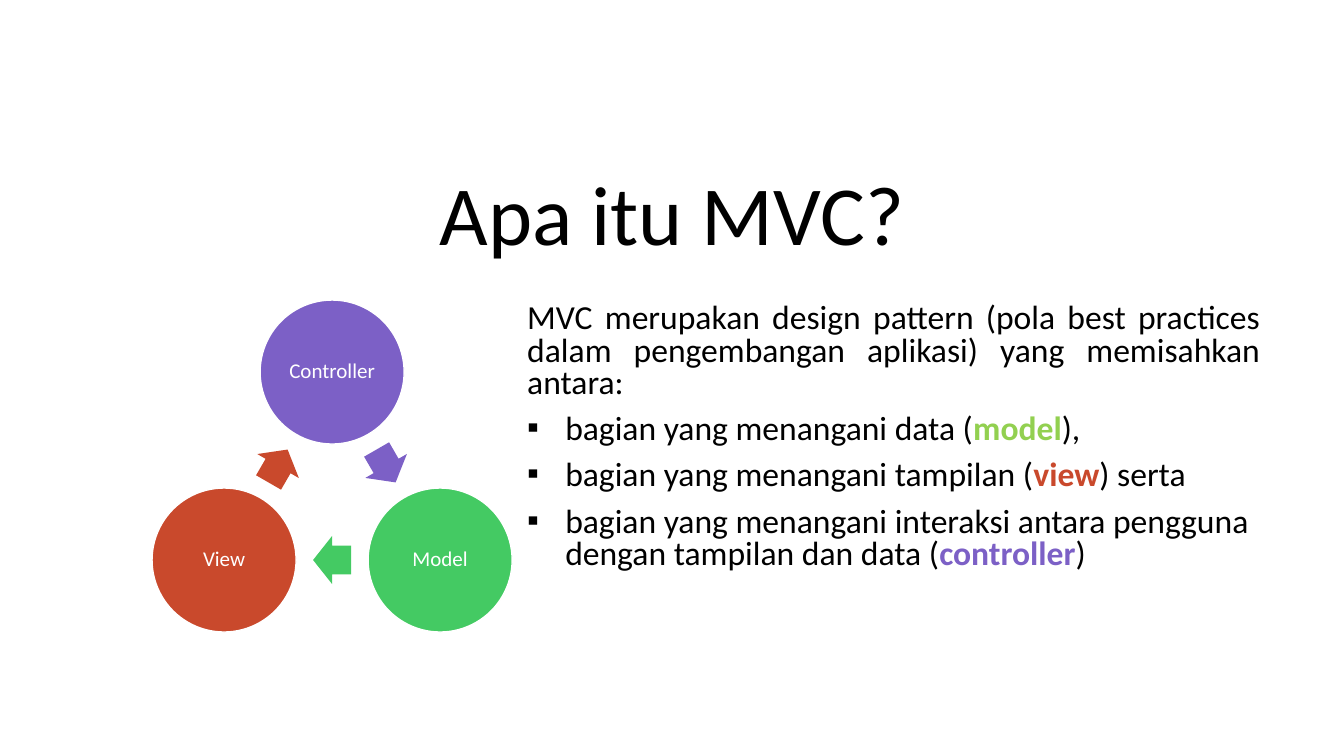
from lxml import etree
from pptx import Presentation, util as u
from pptx.dml.color import RGBColor
from pptx.enum import shapes, text
from pptx.oxml.ns import qn

COLORS = {"black": "000000", "white": "FFFFFF", "purple": "7C60C6",
          "green": "44CA63", "lime": "92D050", "red": "C9492C"}
TITLE = "Apa itu MVC?"
INTRO = ("MVC merupakan design pattern (pola best practices dalam "
         "pengembangan aplikasi) yang memisahkan antara:")
BULLETS = [
    ("bagian yang menangani data (", "model", "lime", "), "),
    ("bagian yang menangani tampilan (", "view", "red", ") serta"),
    ("bagian yang menangani interaksi antara pengguna dengan tampilan dan data (",
     "controller", "purple", ")"),
]
CYCLE = [("Controller", "purple", (332, 372)),
         ("Model", "green", (440, 560)),
         ("View", "red", (224, 560))]
TITLE_BOX = (116, 124, 1112, 145)
BODY_BOX = (517, 299, 753, 319)
DIAMETER = 144
ARROW = (38, 48)
INDENT = 38
SCALE = u.Inches(1) / 100.8


def px(length):
    return u.Emu(round(length * SCALE))


def apply(target, **values):
    for name, value in values.items():
        setattr(target, name, value)


def place(shape, box):
    apply(shape, **dict(zip(("left", "top", "width", "height"), map(px, box))))


def rgb(color):
    return RGBColor.from_string(COLORS[color])


def add_span(para, words, size, color="black", bold=False):
    span = para.add_run()
    span.text = words
    apply(span.font, name="Calibri", size=u.Pt(size), bold=bold)
    span.font.color.rgb = rgb(color)


def add_bullet(para):
    properties = para._p.get_or_add_pPr()
    properties.set("marL", str(px(INDENT)))
    properties.set("indent", str(-px(INDENT)))
    etree.SubElement(properties, qn("a:buFont"), typeface="Arial")
    etree.SubElement(properties, qn("a:buChar"), char="▪")


def add_part(page, kind, center, size, color):
    (x, y), (width, height) = center, size
    shape = page.shapes.add_shape(
        kind, *map(px, (x - width / 2, y - height / 2, width, height)))
    shape.shadow.inherit = False
    shape.fill.solid()
    shape.fill.fore_color.rgb = rgb(color)
    shape.line.fill.background()
    return shape


deck = Presentation()
apply(deck, slide_width=u.Inches(13.33), slide_height=u.Inches(7.5))
page = deck.slides.add_slide(deck.slide_layouts[0])

title, body = page.shapes.title, page.placeholders[1]
for box, area, anchor in ((title, TITLE_BOX, text.MSO_ANCHOR.BOTTOM),
                          (body, BODY_BOX, text.MSO_ANCHOR.TOP)):
    place(box, area)
    apply(box.text_frame, word_wrap=True, vertical_anchor=anchor,
          auto_size=text.MSO_AUTO_SIZE.NONE)

para = title.text_frame.paragraphs[0]
apply(para, alignment=text.PP_ALIGN.CENTER, line_spacing=0.9)
add_span(para, TITLE, 60)

body_format = {"line_spacing": 0.8, "space_before": u.Pt(10)}
para = body.text_frame.paragraphs[0]
apply(para, alignment=text.PP_ALIGN.JUSTIFY, **body_format)
add_span(para, INTRO, 24)
for before, keyword, color, after in BULLETS:
    para = body.text_frame.add_paragraph()
    apply(para, alignment=text.PP_ALIGN.LEFT, **body_format)
    add_bullet(para)
    add_span(para, before, 24)
    add_span(para, keyword, 24, color, True)
    add_span(para, after, 24)

for index, (label, color, center) in enumerate(CYCLE):
    circle = add_part(page, shapes.MSO_SHAPE.OVAL, center, (DIAMETER, DIAMETER), color)
    circle.line.color.rgb = rgb("white")
    circle.line.width = u.Pt(1)
    apply(circle.text_frame, word_wrap=True, vertical_anchor=text.MSO_ANCHOR.MIDDLE,
          margin_left=px(2), margin_right=px(2), margin_top=px(2), margin_bottom=px(2))
    para = circle.text_frame.paragraphs[0]
    apply(para, alignment=text.PP_ALIGN.CENTER, line_spacing=0.9)
    add_span(para, label, 15, "white")

    following = CYCLE[(index + 1) % len(CYCLE)][2]
    middle = [(a + b) / 2 for a, b in zip(center, following)]
    arrow = add_part(page, shapes.MSO_SHAPE.RIGHT_ARROW, middle, ARROW, color)
    arrow.rotation = 60 + 120 * index
    arrow.adjustments[0], arrow.adjustments[1] = 0.6, 0.5

deck.save("out.pptx")
